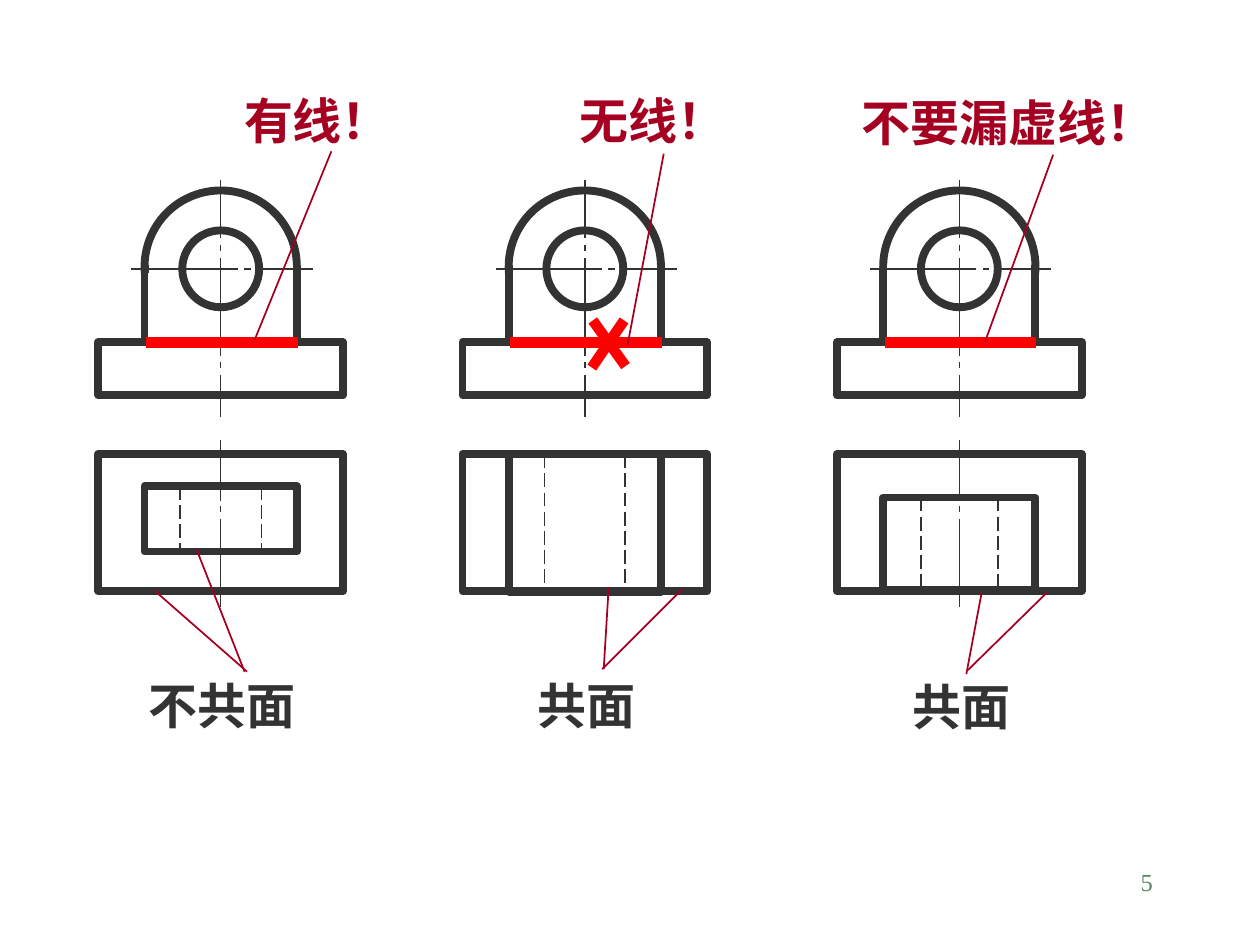
"""Build a slide comparing three bracket drawings and their face boundaries."""
from dataclasses import dataclass

from lxml import etree
from pptx import Presentation
from pptx.dml.color import RGBColor
from pptx.enum.dml import MSO_LINE
from pptx.enum.shapes import MSO_CONNECTOR, MSO_SHAPE
from pptx.enum.text import PP_ALIGN
from pptx.oxml.ns import qn
from pptx.util import Cm, Pt

STRAIGHT = MSO_CONNECTOR.STRAIGHT
RECT, OVAL = MSO_SHAPE.RECTANGLE, MSO_SHAPE.OVAL
LONG_DASH = MSO_LINE.LONG_DASH
LEFT, RIGHT = PP_ALIGN.LEFT, PP_ALIGN.RIGHT


@dataclass(frozen=True)
class Theme:
    """Colours, stroke widths and type of the slide."""

    ink: str = "333333"
    paper: str = "FFFFFF"
    accent: str = "FF0000"
    note: str = "A50021"
    number: str = "578963"
    outline: float = 4.5
    heavy: float = 6
    thin: float = 1
    axis: float = 0.75
    label_size: int = 28
    number_size: int = 14
    font: str = "Times New Roman"


@dataclass(frozen=True)
class Bracket:
    """Centre of a bracket, and the plan of its upright part."""

    centre: float
    boss_top: float
    boss_depth: float
    bore: float
    plan_axis: bool


THEME = Theme()
BRACKETS = (
    Bracket(4.45, 9.8, 1.32, 0.82, True),
    Bracket(11.79, 9.16, 2.77, 0.81, False),
    Bracket(19.34, 10.03, 1.86, 0.78, True),
)
BASE_WIDTH, BOSS_WIDTH, HOLE = 4.93, 3.07, 1.55
AXIS_Y, JOINT_Y, PLAN_Y, PLAN_DEPTH = 5.42, 6.9, 9.15, 2.77
ACROSS = ((-1.8, 0.34), (0.47, 0.6), (0.71, 1.85))
DOWN_FRONT = ((3.62, 4.8), (4.93, 5.06), (5.2, 7.18), (7.29, 7.42), (7.56, 8.4))
DOWN_PLAN = ((8.87, 10.1), (10.2, 10.33), (10.47, 12.24))
CROSS = ((12.58, 6.46, 11.93, 7.41), (11.95, 6.46, 12.61, 7.38))
LEADERS = (
    (5.13, 6.86, 6.68, 3.05),
    (12.65, 6.96, 13.38, 3.1),
    (19.86, 6.88, 21.23, 3.12),
    (3.96, 11.07, 4.93, 13.54),
    (4.98, 13.54, 3.12, 11.91),
    (12.27, 11.84, 12.17, 13.49),
    (12.14, 13.49, 13.74, 11.89),
    (19.51, 13.51, 21.11, 11.94),
    (19.79, 11.94, 19.48, 13.59),
)
LABELS = (
    ("有线！", 4.67, 1.7, 3.48, THEME.note, False),
    ("无线！", 11.43, 1.7, 3.48, THEME.note, False),
    ("不要漏虚线！", 17.12, 1.75, 7.49, THEME.note, True),
    ("不共面", 2.74, 13.49, 3.48, THEME.ink, False),
    ("共面", 10.59, 13.49, 2.49, THEME.ink, False),
    ("共面", 18.14, 13.51, 2.49, THEME.ink, False),
)


def apply(target, values):
    """Set every attribute named in values on target."""
    for name, value in values.items():
        setattr(target, name, value)


def style_line(line, colour, width, dash=None):
    """Give a stroke its colour, width and dash."""
    line.fill.solid()
    line.fill.fore_color.rgb = RGBColor.from_string(colour)
    apply(line, {"width": Pt(width), "dash_style": dash})


def add_stroke(slide, ends, colour, width, dash=None):
    """Draw a straight line between ends given as x1, y1, x2, y2."""
    stroke = slide.shapes.add_connector(STRAIGHT, *map(Cm, ends))
    style_line(stroke.line, colour, width, dash)
    etree.SubElement(stroke._element.spPr, qn("a:effectLst"))


def add_outline(slide, kind, centre, top, width, height, fill=None):
    """Draw a heavy outline centred on an x position."""
    outline = slide.shapes.add_shape(
        kind, Cm(centre - width / 2), Cm(top), Cm(width), Cm(height))
    outline.shadow.inherit = False
    if fill:
        outline.fill.solid()
        outline.fill.fore_color.rgb = RGBColor.from_string(fill)
    else:
        outline.fill.background()
    style_line(outline.line, THEME.ink, THEME.outline)


def add_label(slide, text, box, colour, size, bold=True, align=LEFT, wrap=False):
    """Place one line of text in a box."""
    frame = slide.shapes.add_textbox(*map(Cm, box)).text_frame
    frame.word_wrap = wrap
    paragraph = frame.paragraphs[0]
    paragraph.alignment = align
    run = paragraph.add_run()
    run.text = text
    apply(run.font, {"name": THEME.font, "size": Pt(size), "bold": bold})
    run.font.color.rgb = RGBColor.from_string(colour)


def add_axes(slide, bracket):
    """Draw the broken centre lines of a bracket."""
    x = bracket.centre
    for start, end in ACROSS:
        add_stroke(slide, (x + start, AXIS_Y, x + end, AXIS_Y), THEME.ink, THEME.axis)
    for start, end in DOWN_FRONT + (DOWN_PLAN if bracket.plan_axis else ()):
        add_stroke(slide, (x, start, x, end), THEME.ink, THEME.axis)


def add_front(slide, x):
    """Draw the front view: arch, upright, base and hole."""
    add_outline(slide, OVAL, x, 3.84, BOSS_WIDTH, BOSS_WIDTH)
    add_outline(slide, RECT, x, AXIS_Y, BOSS_WIDTH, JOINT_Y - AXIS_Y, THEME.paper)
    add_outline(slide, RECT, x, JOINT_Y, BASE_WIDTH, 1.07)
    add_stroke(slide, (x - 1.45, 5.44, x + 1.45, 5.44), THEME.paper, THEME.heavy)
    add_outline(slide, OVAL, x, AXIS_Y - HOLE / 2, HOLE, HOLE)


def add_plan(slide, bracket):
    """Draw the plan view with the hidden edges of the hole."""
    x, top = bracket.centre, bracket.boss_top
    add_outline(slide, RECT, x, PLAN_Y, BASE_WIDTH, PLAN_DEPTH)
    add_outline(slide, RECT, x, top, BOSS_WIDTH, bracket.boss_depth)
    for edge in (x - bracket.bore, x + bracket.bore):
        add_stroke(slide, (edge, top, edge, top + bracket.boss_depth),
                   THEME.ink, THEME.thin, LONG_DASH)


def add_bracket(slide, bracket):
    """Draw both views of a bracket and highlight the joint."""
    x = bracket.centre
    add_plan(slide, bracket)
    add_front(slide, x)
    add_axes(slide, bracket)
    add_stroke(slide, (x - 1.5, JOINT_Y, x + 1.55, JOINT_Y), THEME.accent, THEME.heavy)


def main():
    """Build and save the slide."""
    deck = Presentation()
    apply(deck, {"slide_width": Cm(25.4), "slide_height": Cm(19.05)})
    slide = deck.slides.add_slide(deck.slide_layouts[6])
    for bracket in BRACKETS:
        add_bracket(slide, bracket)
    for ends in CROSS:
        add_stroke(slide, ends, THEME.accent, THEME.heavy)
    for ends in LEADERS:
        add_stroke(slide, ends, THEME.note, THEME.thin)
    for text, left, top, width, colour, wrap in LABELS:
        add_label(slide, text, (left, top, width, 1.45), colour,
                  THEME.label_size, wrap=wrap)
    add_label(slide, "5", (18.21, 17.35, 5.28, 1.27), THEME.number,
              THEME.number_size, bold=False, align=RIGHT, wrap=True)
    deck.save("out.pptx")


if __name__ == "__main__":
    main()
